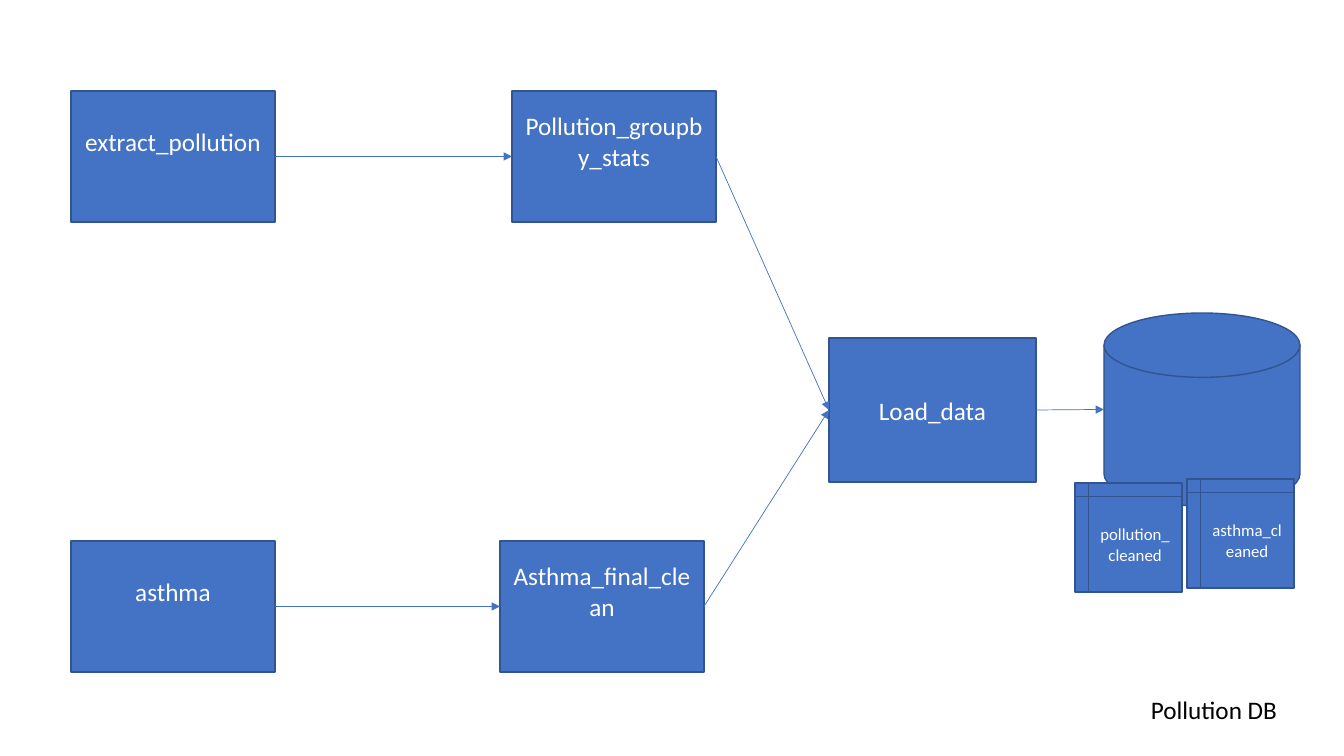
from dataclasses import dataclass

from lxml.etree import SubElement
from pptx import Presentation
from pptx.dml.color import RGBColor
from pptx.enum.shapes import MSO_CONNECTOR, MSO_SHAPE
from pptx.enum.text import MSO_ANCHOR, MSO_AUTO_SIZE, PP_ALIGN
from pptx.oxml.ns import qn
from pptx.util import Emu, Pt

PX = 914400 / 100.8
COLORS = {"fill": "4472C4", "border": "325491", "light": "FFFFFF", "dark": "000000"}


def px(n: float) -> Emu:
    return Emu(round(n * PX))


def rgb(name: str) -> RGBColor:
    return RGBColor.from_string(COLORS[name])


@dataclass
class Node:
    name: str
    x: int
    y: int
    w: int
    h: int
    kind: MSO_SHAPE
    text: str = ""
    size: int = 18
    bottom: int = 5  # bottom text margin
    left_site: int = 1  # connection site on the left edge


@dataclass
class Link:
    start: str
    end: str


def write(shape, text: str, size: int, color: str, **fmt) -> None:
    tf = shape.text_frame
    for key, value in {"word_wrap": True, **fmt}.items():
        setattr(tf, key, value)
    p = tf.paragraphs[0]
    p.alignment = PP_ALIGN.CENTER
    r = p.add_run()
    r.text = text
    for key, value in {"name": "Calibri", "size": Pt(size)}.items():
        setattr(r.font, key, value)
    r.font.color.rgb = rgb(color)


def add_node(s, n: Node):
    sp = s.shapes.add_shape(n.kind, px(n.x), px(n.y), px(n.w), px(n.h))
    sp.shadow.inherit = False
    sp.fill.solid()
    sp.fill.fore_color.rgb = rgb("fill")
    sp.line.color.rgb = rgb("border")
    sp.line.width = Pt(1)
    if n.text:
        write(sp, n.text, n.size, "light",
              vertical_anchor=MSO_ANCHOR.MIDDLE, margin_bottom=px(n.bottom))
    return sp


def add_link(s, start, end, end_site: int) -> None:
    c = s.shapes.add_connector(MSO_CONNECTOR.STRAIGHT, 0, 0, 0, 0)
    c.begin_connect(start, 3)
    c.end_connect(end, end_site)
    c.end_x, c.end_y = end.left, end.top + end.height // 2
    c.line.color.rgb = rgb("fill")
    c.line.width = Pt(0.5)
    spPr = c._element.spPr
    SubElement(spPr.find(qn("a:ln")), qn("a:tailEnd"), type="triangle")
    SubElement(spPr, qn("a:effectLst"))


def process(text: str, x: int, y: int) -> Node:
    # The deep bottom margin lifts the label by half a line
    return Node(text, x, y, 204, 131, MSO_SHAPE.FLOWCHART_PROCESS, text, bottom=36)


def table(text: str, x: int, y: int) -> Node:
    return Node(text, x, y, 107, 109, MSO_SHAPE.FLOWCHART_INTERNAL_STORAGE, text, 12)


POLLUTION_Y, ASTHMA_Y = 91, 541
NODES = [
    Node("load", 829, 338, 207, 144, MSO_SHAPE.RECTANGLE, "Load_data"),
    Node("database", 1104, 313, 196, 193, MSO_SHAPE.FLOWCHART_MAGNETIC_DISK, left_site=2),
    process("extract_pollution", 71, POLLUTION_Y),
    process("Pollution_groupby_stats", 512, POLLUTION_Y),
    process("asthma", 71, ASTHMA_Y),
    process("Asthma_final_clean", 500, ASTHMA_Y),
    table("pollution_cleaned", 1075, 483),
    table("asthma_cleaned", 1187, 479),
]
LINKS = [
    Link("extract_pollution", "Pollution_groupby_stats"),
    Link("Pollution_groupby_stats", "load"),
    Link("asthma", "Asthma_final_clean"),
    Link("Asthma_final_clean", "load"),
    Link("load", "database"),
]

prs = Presentation()
prs.slide_width, prs.slide_height = px(1344), px(756)
s = prs.slides.add_slide(prs.slide_layouts[6])

# Pipeline steps, database and its tables
shapes = {n.name: add_node(s, n) for n in NODES}
sites = {n.name: n.left_site for n in NODES}

# Data flow arrows
for link in LINKS:
    add_link(s, shapes[link.start], shapes[link.end], sites[link.end])

# Database caption
caption = s.shapes.add_textbox(px(1113), px(689), px(202), px(40))
write(caption, "Pollution DB", 18, "dark", auto_size=MSO_AUTO_SIZE.SHAPE_TO_FIT_TEXT)

prs.save("out.pptx")
